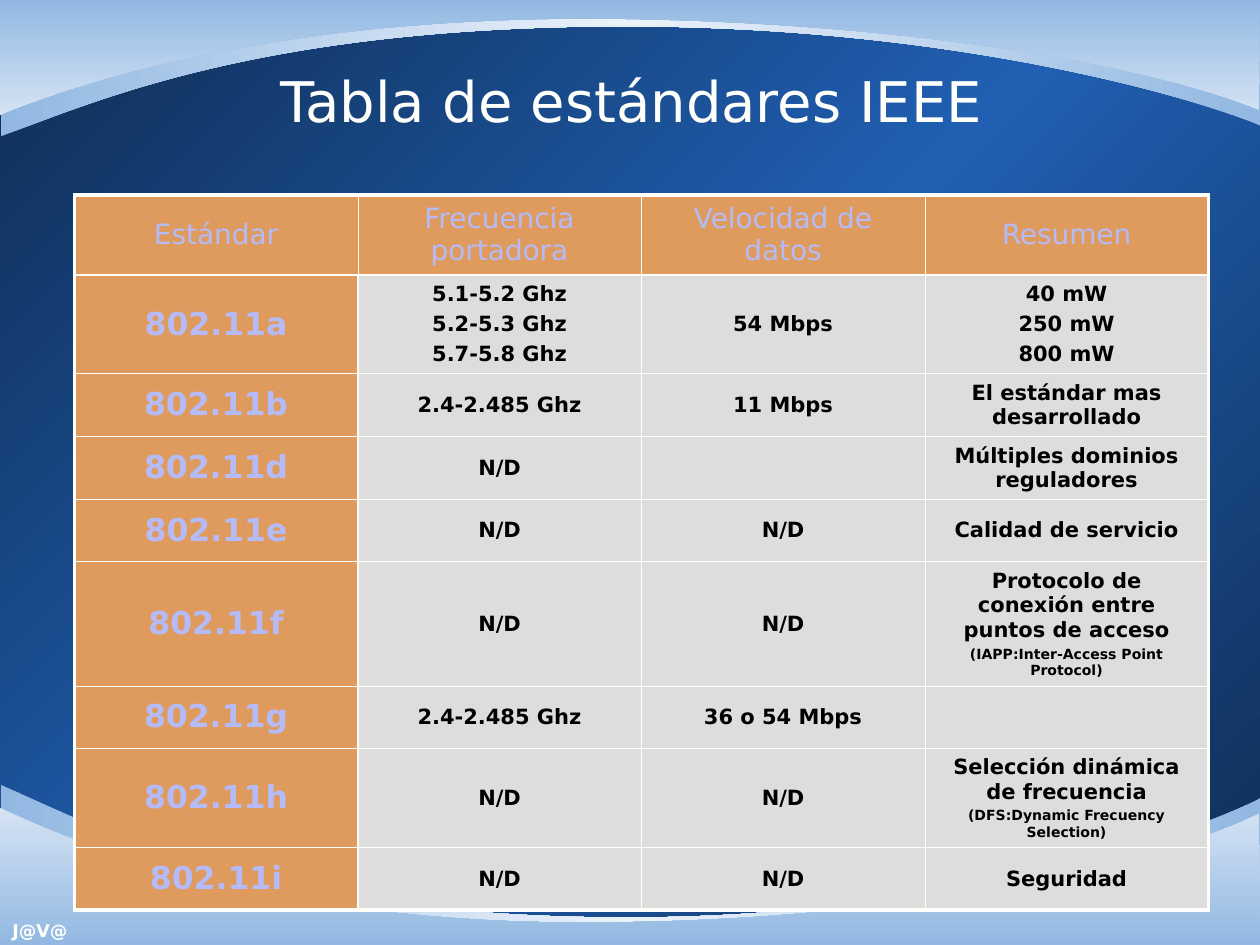
import pptx
import pptx.util
from lxml import etree
from pptx.dml.color import RGBColor
from pptx.enum.text import MSO_ANCHOR, PP_ALIGN
from pptx.oxml.ns import qn
from pptx.util import Pt

FONT = "DejaVu Sans"
WHITE = RGBColor(0xFE, 0xFF, 0xFB)
BLACK = RGBColor(0x00, 0x00, 0x00)
ORANGE = RGBColor(0xDF, 0x9B, 0x5D)
GREY = RGBColor(0xDD, 0xDD, 0xDD)
LILAC = RGBColor(0xB5, 0xBB, 0xF9)
NAVY = RGBColor(0x0F, 0x2C, 0x52)
BLUE = RGBColor(0x20, 0x5F, 0xB2)
SKY = RGBColor(0x92, 0xB8, 0xE2)
PALE = RGBColor(0xD5, 0xE3, 0xF4)
MIST = RGBColor(0xEB, 0xF2, 0xFA)

TITLE = "Tabla de estándares IEEE"
AUTHOR = "J@V@"
HEADER = ["Estándar", "Frecuencia portadora", "Velocidad de datos", "Resumen"]
# Each line of a cell is one paragraph; lines in parentheses are small.
STANDARDS = [
    ["802.11a", "5.1-5.2 Ghz\n5.2-5.3 Ghz\n5.7-5.8 Ghz", "54 Mbps", "40 mW\n250 mW\n800 mW"],
    ["802.11b", "2.4-2.485 Ghz", "11 Mbps", "El estándar mas desarrollado"],
    ["802.11d", "N/D", "", "Múltiples dominios reguladores"],
    ["802.11e", "N/D", "N/D", "Calidad de servicio"],
    ["802.11f", "N/D", "N/D",
     "Protocolo de conexión entre puntos de acceso\n(IAPP:Inter-Access Point Protocol)"],
    ["802.11g", "2.4-2.485 Ghz", "36 o 54 Mbps", ""],
    ["802.11h", "N/D", "N/D",
     "Selección dinámica de frecuencia\n(DFS:Dynamic Frecuency Selection)"],
    ["802.11i", "N/D", "N/D", "Seguridad"],
]
ROW_HEIGHTS = [45.5, 56.5, 36, 36, 35.5, 71, 35.5, 57, 35.5]
COL_WIDTH = 162
THIN, MEDIUM, THICK = 0.45, 1.47, 2.21

# Waves from back to front: edge y, gradient colours, clockwise angle,
# then the points of two joined cubic curves.
WAVES = [
    (540, [SKY, MIST, SKY], 180,
     [(0.7, 448.6), (54, 472.3), (144, 521.3), (342, 524.2),
      (540.7, 527), (684.7, 475.2), (720.7, 455.8)]),
    (540, [PALE, SKY], 90,
     [(0, 461.5), (70.6, 496.1), (188.6, 529.9), (353.5, 527),
      (517.7, 524.9), (655.9, 496.1), (719.3, 465.1)]),
    (2.2, [SKY, MIST, SKY], 180,
     [(0.7, 77.8), (54, 58.3), (144, 17.3), (342, 15.1),
      (540.7, 13), (684.7, 56.2), (720.7, 72)]),
    (0, [SKY, PALE], 90,
     [(0, 65.5), (70.6, 36.7), (188.6, 8.6), (353.5, 10.8),
      (517.7, 13), (655.9, 36.7), (719.3, 62.6)]),
]


def set_gradient(fill, element, colors, angle):
    """Fill with evenly spaced colours; the angle runs clockwise."""
    fill.gradient()
    fill.gradient_angle = 360 - angle
    stops = next(element.iter(qn("a:gsLst")))
    for old in list(stops):
        stops.remove(old)
    for i, color in enumerate(colors):
        position = 100000 * i // (len(colors) - 1)
        stop = etree.SubElement(stops, qn("a:gs"), pos=str(position))
        etree.SubElement(stop, qn("a:srgbClr"), val=str(color))


def bend_segments(sp, count):
    """Turn the first line segments into cubic curves, three points to a curve."""
    lines = list(sp._element.iter(qn("a:lnTo")))[:count]
    for k in range(0, count, 3):
        curve = etree.Element(qn("a:cubicBezTo"))
        lines[k].addprevious(curve)
        for line in lines[k:k + 3]:
            curve.append(line[0])
            line.getparent().remove(line)


def add_wave(s, edge, colors, angle, points):
    outline = points + [(720, edge), (points[0][0], edge), points[0]]
    corners = [(Pt(x), Pt(y)) for x, y in outline]
    builder = s.shapes.build_freeform(*corners[0])
    builder.add_line_segments(corners[1:])
    sp = builder.convert_to_shape()
    bend_segments(sp, len(points) - 1)
    sp.shadow.inherit = False
    sp.line.fill.background()
    set_gradient(sp.fill, sp._element, colors, angle)


def set_font(p, size, color, bold):
    p.font.name = FONT
    p.font.size = Pt(size)
    p.font.color.rgb = color
    p.font.bold = bold


def add_borders(cell, widths):
    tc_pr = cell._tc.get_or_add_tcPr()
    for side, width in zip("LRTB", widths):
        line = etree.SubElement(tc_pr, qn("a:ln" + side), w=str(int(Pt(width))))
        fill = etree.SubElement(line, qn("a:solidFill"))
        etree.SubElement(fill, qn("a:srgbClr"), val=str(WHITE))


def fill_cell(cell, text, row, col):
    last_row, last_col = len(STANDARDS), len(HEADER) - 1
    add_borders(cell, (
        {0: THICK, 1: MEDIUM if row else THIN}.get(col, THIN),
        THICK if col == last_col else MEDIUM if row and col == 0 else THIN,
        {0: THICK, 1: MEDIUM}.get(row, THIN),
        {0: MEDIUM, last_row: THICK}.get(row, THIN)))
    heading = row == 0 or col == 0
    cell.fill.solid()
    cell.fill.fore_color.rgb = ORANGE if heading else GREY
    cell.vertical_anchor = MSO_ANCHOR.MIDDLE
    if not text:
        return
    cell.text = text
    for p in cell.text_frame.paragraphs:
        size = 16 if row == 0 else 18 if col == 0 else 8 if p.text.startswith("(") else 12
        p.alignment = PP_ALIGN.CENTER
        p.space_before = Pt(size / 4)
        set_font(p, size, LILAC if heading else BLACK, row > 0)


def main():
    prs = pptx.Presentation()
    prs.slide_width, prs.slide_height = Pt(720), Pt(540)
    s = prs.slides.add_slide(prs.slide_layouts[5])
    set_gradient(s.background.fill, s._element, [NAVY, BLUE, NAVY], 45)
    for wave in WAVES:
        add_wave(s, *wave)

    tf = s.shapes.add_textbox(Pt(0), Pt(522), Pt(246), Pt(18)).text_frame
    tf.word_wrap = True
    tf.text = AUTHOR
    set_font(tf.paragraphs[0], 10, WHITE, True)

    title = s.shapes.title
    title.left, title.top, title.width, title.height = Pt(37), Pt(12), Pt(648), Pt(90)
    title.text_frame.text = TITLE
    title.text_frame.vertical_anchor = MSO_ANCHOR.MIDDLE
    p = title.text_frame.paragraphs[0]
    p.alignment = PP_ALIGN.CENTER
    set_font(p, 32, WHITE, False)
    s.shapes._spTree.append(title._element)  # in front of the waves

    rows = [HEADER] + STANDARDS
    table = s.shapes.add_table(len(rows), len(HEADER), Pt(42.5), Pt(111.5),
                               Pt(COL_WIDTH * len(HEADER)), Pt(sum(ROW_HEIGHTS))).table
    table.horz_banding = False
    for column in table.columns:
        column.width = Pt(COL_WIDTH)
    for i, (texts, height) in enumerate(zip(rows, ROW_HEIGHTS)):
        table.rows[i].height = Pt(height)
        for j, text in enumerate(texts):
            fill_cell(table.cell(i, j), text, i, j)
    prs.save("out.pptx")


if __name__ == "__main__":
    main()
